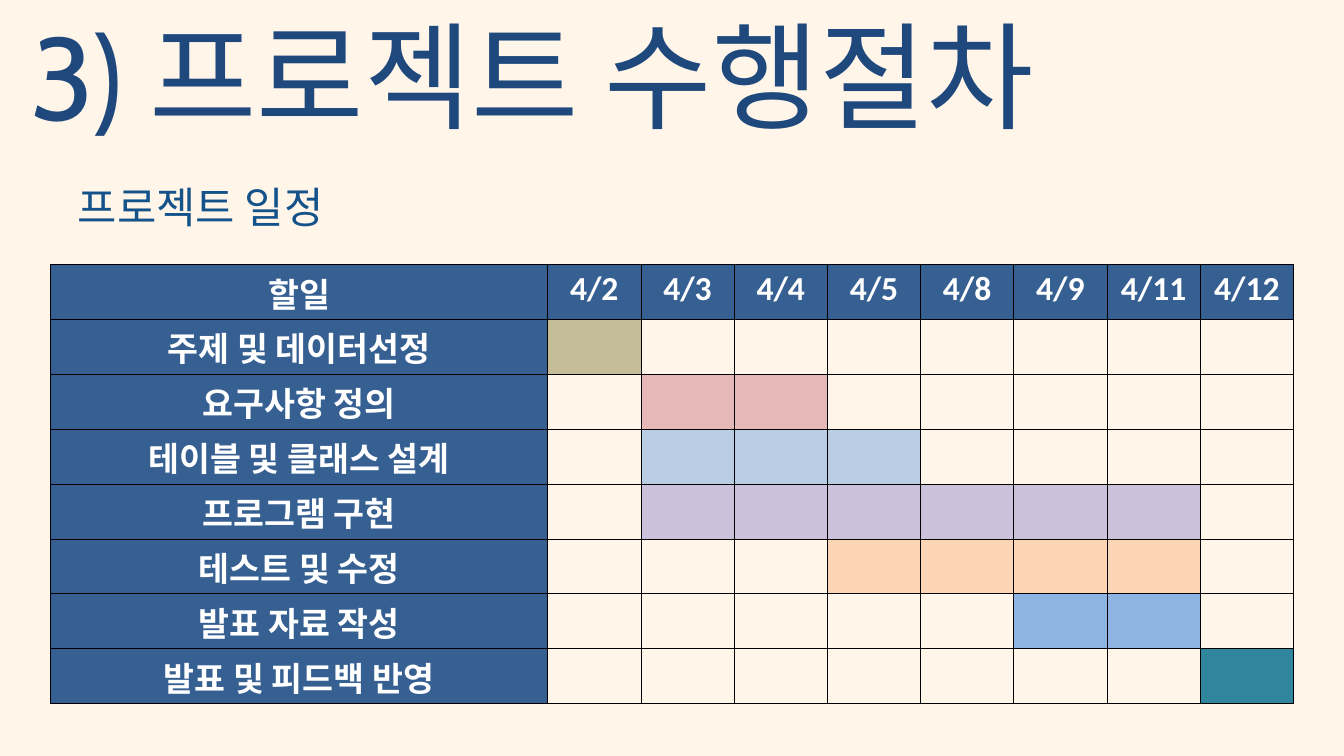
from lxml import etree
from pptx import Presentation
from pptx import util as u
from pptx.dml.color import RGBColor
from pptx.enum import text
from pptx.oxml import ns

SCALE = 9144  # EMU per px, 100 px to the inch

COLORS = {
    "background": "FFF5E9",
    "title": "1F497D",
    "subtitle": "13538A",
    "header": "376092",
    "white": "FFFFFF",
    "border": "000000",
    "topic": "C4BD97",
    "requirements": "E6B9B8",
    "design": "B9CDE5",
    "coding": "CCC1DA",
    "testing": "FCD5B5",
    "slides": "8EB4E3",
    "feedback": "31859C",
}

DATES = ["4/2", "4/3", "4/4", "4/5", "4/8", "4/9", "4/11", "4/12"]

# Task, first day, last day, bar colour
TASKS = [
    ("주제 및 데이터선정", "4/2", "4/2", "topic"),
    ("요구사항 정의", "4/3", "4/4", "requirements"),
    ("테이블 및 클래스 설계", "4/3", "4/5", "design"),
    ("프로그램 구현", "4/3", "4/11", "coding"),
    ("테스트 및 수정", "4/5", "4/11", "testing"),
    ("발표 자료 작성", "4/9", "4/11", "slides"),
    ("발표 및 피드백 반영", "4/12", "4/12", "feedback"),
]


def px(*lengths):
    return [u.Emu(length * SCALE) for length in lengths]


def color(name):
    return RGBColor.from_string(COLORS[name])


def add_run(paragraph, words, size, font, color_name, bold=False):
    run = paragraph.add_run()
    run.text = words
    run.font.size = u.Pt(size)
    run.font.name = font
    run.font.bold = bold
    run.font.color.rgb = color(color_name)


def set_heading(shape, words, size, font, color_name, spacing, align):
    frame = shape.text_frame
    frame.margin_left = frame.margin_right = 0
    frame.margin_top = frame.margin_bottom = 0
    frame.word_wrap = True
    frame.auto_size = text.MSO_AUTO_SIZE.SHAPE_TO_FIT_TEXT
    frame.vertical_anchor = text.MSO_ANCHOR.TOP
    paragraph = frame.paragraphs[0]
    paragraph.alignment = align
    paragraph.line_spacing = u.Pt(spacing)
    add_run(paragraph, words, size, font, color_name)


def set_borders(cell):
    properties = cell._tc.get_or_add_tcPr()
    for side in ("lnL", "lnR", "lnT", "lnB"):
        line = etree.SubElement(properties, ns.qn(f"a:{side}"), w=str(u.Pt(1)))
        fill = etree.SubElement(line, ns.qn("a:solidFill"))
        etree.SubElement(fill, ns.qn("a:srgbClr"), val=COLORS["border"])


def fill_cell(cell, color_name):
    cell.fill.solid()
    cell.fill.fore_color.rgb = color(color_name)


def set_label(cell, words):
    fill_cell(cell, "header")
    paragraph = cell.text_frame.paragraphs[0]
    paragraph.alignment = text.PP_ALIGN.CENTER
    add_run(paragraph, words, 36, "Calibri", "white", bold=True)


def add_schedule(slide, left, top, width, height, task_width):
    row_count, column_count = len(TASKS) + 1, len(DATES) + 1
    table = slide.shapes.add_table(
        row_count, column_count, *px(left, top, width, height)).table
    table.first_row = table.horz_banding = False

    # Even rows and even day columns
    for row in table.rows:
        row.height = u.Emu(height * SCALE // row_count)
    for column in table.columns:
        column.width = u.Emu((width - task_width) * SCALE // len(DATES))
    table.columns[0].width = px(task_width)[0]

    for cell in table.iter_cells():
        set_borders(cell)
        cell.fill.background()

    # Header row
    for column, words in enumerate(["할일"] + DATES):
        set_label(table.cell(0, column), words)

    # Task names and their bars
    for row, (task, first, last, color_name) in enumerate(TASKS, start=1):
        set_label(table.cell(row, 0), task)
        for day in range(DATES.index(first), DATES.index(last) + 1):
            fill_cell(table.cell(row, day + 1), color_name)


def main():
    presentation = Presentation()
    presentation.slide_width, presentation.slide_height = px(2000, 1125)
    slide = presentation.slides.add_slide(presentation.slide_layouts[5])
    slide.background.fill.solid()
    slide.background.fill.fore_color.rgb = color("background")

    # Title
    title = slide.shapes.title
    title.left, title.top, title.width, title.height = px(46, 5, 1671, 210)
    set_heading(title, "3) 프로젝트 수행절차", 125, "Cabin", "title", 150,
                text.PP_ALIGN.LEFT)

    # Subtitle
    subtitle = slide.shapes.add_textbox(*px(116, 263, 884, 79))
    set_heading(subtitle, "프로젝트 일정", 45.8, "Calibri", "subtitle", 59.6,
                text.PP_ALIGN.JUSTIFY)

    # Schedule
    add_schedule(slide, 75, 394, 1850, 653, task_width=740)

    presentation.save("out.pptx")


if __name__ == "__main__":
    main()
